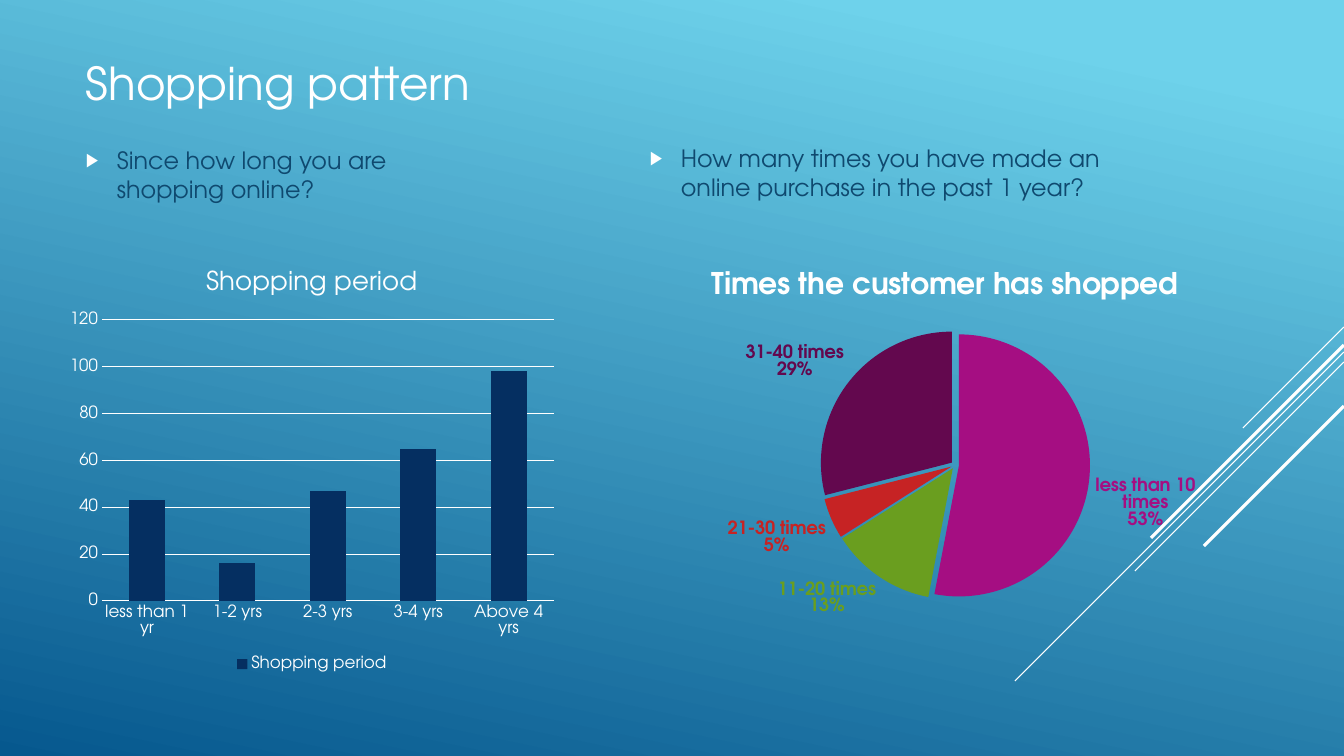
from lxml import etree
from pptx import Presentation
from pptx.chart.data import CategoryChartData
from pptx.dml.color import RGBColor
from pptx.enum.chart import (XL_CHART_TYPE as CT, XL_LABEL_POSITION as LabelPos,
                             XL_LEGEND_POSITION as LegendPos, XL_TICK_MARK as Tick)
from pptx.enum.shapes import MSO_CONNECTOR as Conn
from pptx.enum.text import MSO_ANCHOR as Anchor
from pptx.oxml.ns import qn
from pptx.util import Pt

# Content: boxes are left, top, width, height in px
W, H = 1344, 756
FONT, WHITE, INK = "TeX Gyre Adventor", "FFFFFF", "0F496F"
SKY = [(0.1, "6ED2EB"), (1, "06588E")]
TITLE = ("Shopping pattern", (76, 49, 940, 66))
QUESTIONS = [
    ("Since how long you are shopping online?", (76, 146, 390, 91)),
    ("How many times you have made an online purchase in the past 1 year?",
     (640, 144, 544, 66)),
]
# Diagonals from the right edge: top, run, line width
DIAGONALS = [(327, 101, 0.75), (352, 329, 0.75), (362, 209, 0.75),
             (345, 193, 2.25), (406, 140, 2.25)]
PERIOD = {"less than 1 yr": 43, "1-2 yrs": 16, "2-3 yrs": 47,
          "3-4 yrs": 65, "Above 4 yrs": 98}
PERIOD_BOX, PERIOD_PLOT = (60, 250, 504, 426), (102, 320, 452, 281)
TIMES = {"less than 10 times": 53, "11-20 times": 13,
         "21-30 times": 5, "31-40 times": 29}
TIMES_BOX, TIMES_PLOT = (628, 250, 634, 389), (820, 330, 270, 270)
SLICES = ["A50E82", "6A9E1F", "C62324", "63084E"]


def px(n):
    return round(n * 914400 / 100.8)


def rgb(color):
    return RGBColor.from_string(color)


def style(font, size, color=WHITE, bold=False):
    font.name, font.size, font.bold = FONT, Pt(size), bold
    font.color.rgb = rgb(color)


def node(tag, **attrs):
    e = etree.Element(qn(tag))
    for key, value in attrs.items():
        e.set(key, str(value))
    return e


def add_text(text, box, size, color, anchor):
    tf = s.shapes.add_textbox(*map(px, box)).text_frame
    tf.word_wrap, tf.vertical_anchor = True, anchor
    p = tf.paragraphs[0]
    r = p.add_run()
    r.text = text
    style(r.font, size, color)
    return tf


def add_bullet(p):
    pPr = p._p.get_or_add_pPr()
    pPr.set("marL", str(px(31)))
    pPr.set("indent", str(px(-31)))
    color = node("a:buClr")
    color.append(node("a:srgbClr", val=WHITE))
    pPr.extend([color, node("a:buSzPct", val=80000),
                node("a:buFont", typeface="Arial"), node("a:buChar", char="▶")])


def add_chart(kind, title, data, box, plot, size, bold):
    cd = CategoryChartData()
    cd.categories = list(data)
    cd.add_series(title, list(data.values()))
    chart = s.shapes.add_chart(kind, *map(px, box), cd).chart
    style(chart.font, 10)
    chart.has_title = True
    r = chart.chart_title.text_frame.paragraphs[0].add_run()
    r.text = title
    style(r.font, size, bold=bold)
    chart.chart_title.include_in_layout = False
    # Plot area as fractions of the chart box
    area = next(chart._chartSpace.iter(qn("c:plotArea")))
    for old in area.findall(qn("c:layout")):
        area.remove(old)
    layout, manual = node("c:layout"), node("c:manualLayout")
    layout.append(manual)
    manual.extend([node("c:layoutTarget", val="inner"),
                   node("c:xMode", val="edge"), node("c:yMode", val="edge")])
    x, y, w, h = plot
    spans = [("x", x - box[0], box[2]), ("y", y - box[1], box[3]),
             ("w", w, box[2]), ("h", h, box[3])]
    for name, part, whole in spans:
        manual.append(node("c:" + name, val=round(part / whole, 3)))
    area.insert(0, layout)
    return chart


prs = Presentation()
prs.slide_width, prs.slide_height = px(W), px(H)
s = prs.slides.add_slide(prs.slide_layouts[6])

# Background
fill = s.background.fill
fill.gradient()
fill.gradient_angle = 360 - 102
for stop, (position, color) in zip(fill.gradient_stops, SKY):
    stop.position, stop.color.rgb = position, rgb(color)

# Diagonal lines
for top, run, width in DIAGONALS:
    line = s.shapes.add_connector(Conn.STRAIGHT, px(W), px(top),
                                  px(W - run), px(top + run))
    line.line.color.rgb, line.line.width = rgb(WHITE), Pt(width)
    line._element.spPr.append(node("a:effectLst"))

# Title and questions
add_text(*TITLE, 32.4, WHITE, Anchor.MIDDLE)
for question, box in QUESTIONS:
    tf = add_text(question, box, 17, INK, Anchor.TOP)
    tf.margin_top = 0
    add_bullet(tf.paragraphs[0])

# Column chart
chart = add_chart(CT.COLUMN_STACKED, "Shopping period", PERIOD,
                  PERIOD_BOX, PERIOD_PLOT, 18.6, False)
plot = chart.plots[0]
plot.gap_width, plot.overlap, plot.vary_by_categories = 150, 100, False
bars = plot.series[0].format.fill
bars.solid()
bars.fore_color.rgb = rgb("052F61")
for axis in (chart.category_axis, chart.value_axis):
    axis.major_tick_mark = axis.minor_tick_mark = Tick.NONE
    axis.format.line.fill.background()
    style(axis.tick_labels.font, 12)
values = chart.value_axis
values.minimum_scale, values.maximum_scale, values.major_unit = 0, 120, 20
grid = values.major_gridlines.format.line
grid.color.rgb, grid.width = rgb(WHITE), Pt(0.75)
chart.has_legend = True
chart.legend.position, chart.legend.include_in_layout = LegendPos.BOTTOM, False
style(chart.legend.font, 12)

# Pie chart, each label in the colour of its slice
chart = add_chart(CT.PIE, "Times the customer has shopped", TIMES,
                  TIMES_BOX, TIMES_PLOT, 21.3, True)
chart.has_legend = False
chart.plots[0].vary_by_categories = True
pie = chart.plots[0].series[0]
pie._element.find(qn("c:tx")).addnext(node("c:explosion", val=3))
for i, color in enumerate(SLICES):
    point = pie.points[i]
    point.format.fill.solid()
    point.format.fill.fore_color.rgb = rgb(color)
    style(point.data_label.font, 13, color, True)
    point.data_label.position = LabelPos.OUTSIDE_END
shown = {"c:showVal": 0, "c:showCatName": 1, "c:showPercent": 1}
for label in pie._element.iter(qn("c:dLbl")):
    label.find(qn("c:idx")).addnext(
        node("c:numFmt", formatCode="0%", sourceLinked=0))
    for tag, on in shown.items():
        label.find(qn(tag)).set("val", str(on))
    separator = node("c:separator")
    separator.text = "\n"
    label.append(separator)

prs.save("out.pptx")
